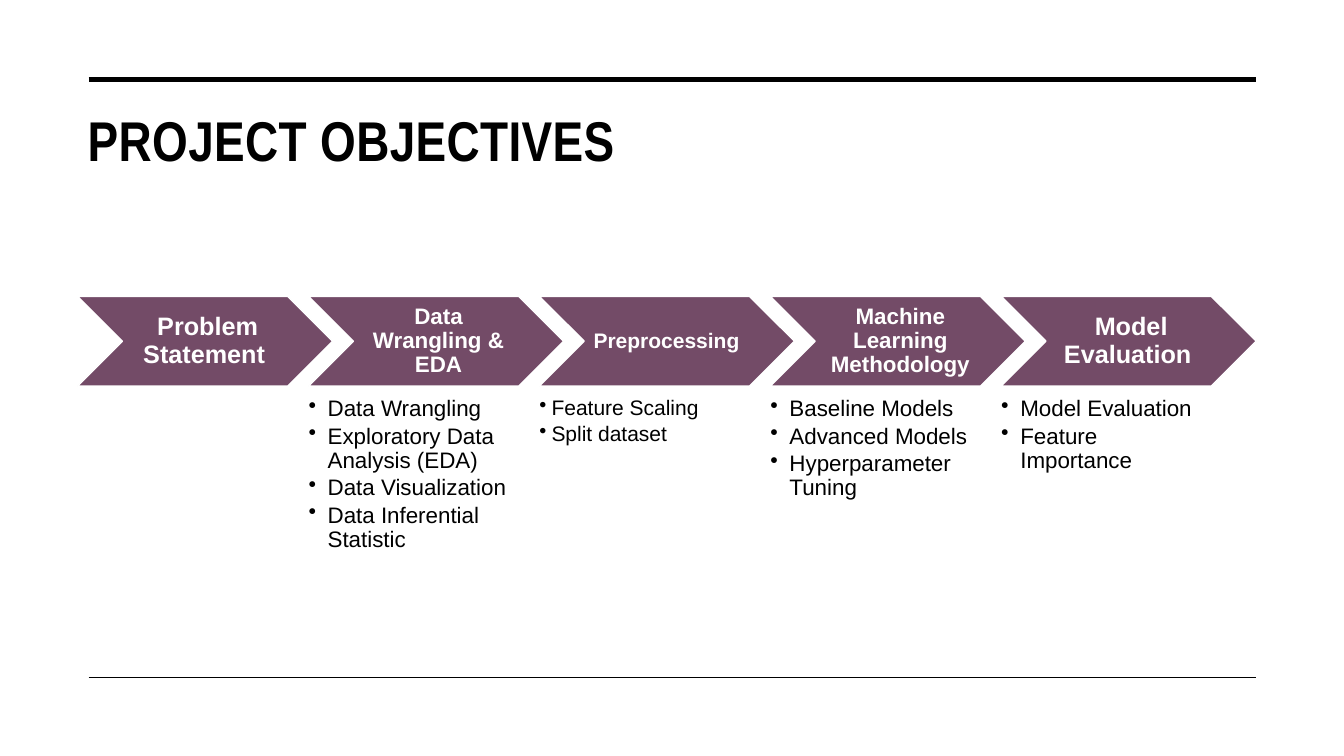
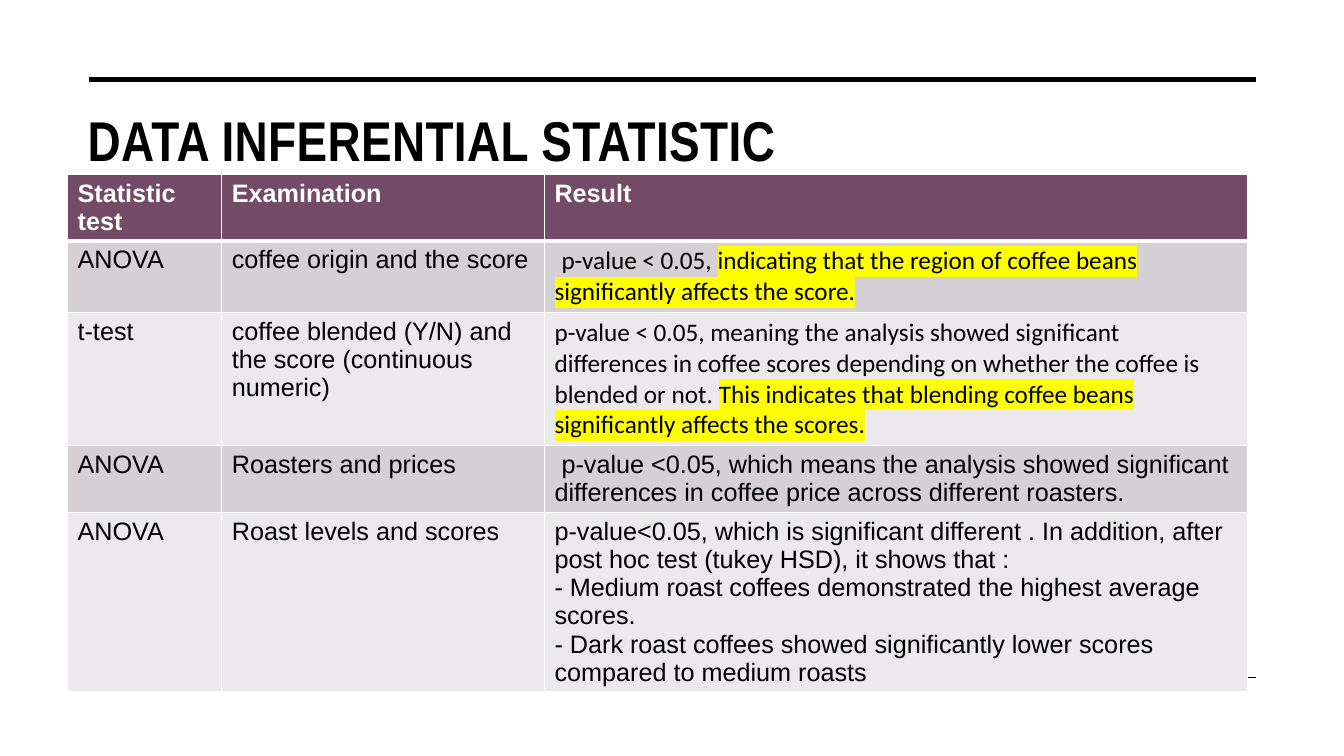
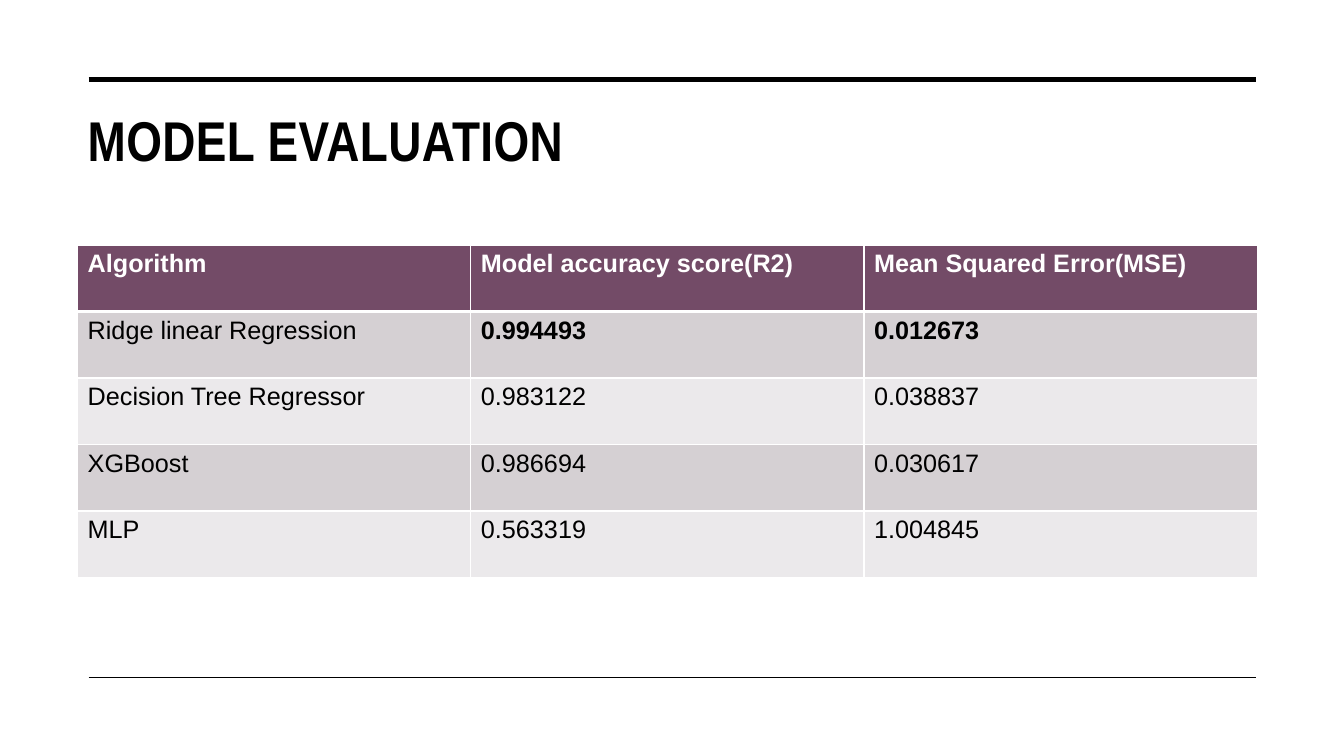
from lxml.etree import SubElement
from pptx import Presentation
from pptx.dml.color import RGBColor as RGB
from pptx.enum.shapes import MSO_CONNECTOR as Link, MSO_SHAPE as Shape
from pptx.enum.text import MSO_ANCHOR as Anchor, PP_ALIGN as Align
from pptx.oxml import parse_xml
from pptx.oxml.ns import nsdecls, qn
from pptx.util import Pt

PX = 9144  # 100 px to the inch
HUE = {"ink": "000000", "paper": "FFFFFF", "plum": "734B67",
       "odd": "D5D0D3", "even": "EBE9EB", "mark": "FFFF00"}

RULES = [(79, 3.5), (672, 1)]  # y, weight
RULE_X = (88, 1246)
TITLE_BOX = (77, 100, 1169, 143)

# heading, heading size, heading margin, list size, list indent, list items
STEPS = [
    ("Problem Statement ", 18, 8, 16, 19, []),
    ("Data Wrangling & EDA", 16, 7, 16, 19,
     ["Data Wrangling", "Exploratory Data Analysis (EDA)",
      "Data Visualization", "Data Inferential Statistic"]),
    ("Preprocessing ", 15, 7, 15, 12, ["Feature Scaling", "Split dataset"]),
    ("Machine Learning Methodology", 16, 7, 16, 19,
     ["Baseline Models", "Advanced Models", "Hyperparameter Tuning"]),
    ("Model Evaluation ", 18, 8, 16, 19,
     ["Model Evaluation", "Feature Importance"]),
]
STEP_X, STEP_Y, STEP_W, STEP_H, PITCH = 77, 294, 253, 89, 229
LIST_Y, LIST_W, LIST_H = 394, 202, 151

# A cell is a string, one line per paragraph, or a list of (text, style) runs.
TESTS = [
    ["Statistic test", "Examination", "Result"],
    ["ANOVA", "coffee origin and the score",
     [(" ", ""), ("p-value < 0.05, ", "calm"),
      ("indicating that the region of coffee beans significantly affects "
       "the score.", "mark")]],
    ["t-test", "coffee blended (Y/N) and the score (continuous numeric)",
     [("p-value < 0.05, meaning the analysis showed significant differences "
       "in coffee scores depending on whether the coffee is blended or not. ",
       "calm"),
      ("This indicates that blending coffee beans significantly affects "
       "the scores.", "mark")]],
    ["ANOVA", "Roasters and prices",
     " p-value <0.05, which means the analysis showed significant "
     "differences in coffee price across different roasters."],
    ["ANOVA", "Roast levels and scores",
     "p-value<0.05, which is significant different . In addition, after "
     "post hoc test (tukey HSD), it shows that :\n"
     "- Medium roast coffees demonstrated the highest average scores.\n"
     "- Dark roast coffees showed significantly lower scores compared to "
     "medium roasts"],
]
SCORES = [
    ["Algorithm", "Model accuracy score(R2)", "Mean Squared Error(MSE)"],
    ["Ridge linear Regression", [("0.994493", "bold")], [("0.012673", "bold")]],
    ["Decision Tree Regressor", "0.983122", "0.038837"],
    ["XGBoost", "0.986694", "0.030617"],
    ["MLP", "0.563319", "1.004845"],
]


def emu(*nums):
    return [n * PX for n in nums]


def color(name):
    return RGB.from_string(HUE[name])


def style(run, size, hue="ink", bold=False, face="Arial"):
    font = run.font
    font.size, font.bold, font.name = Pt(size), bold, face
    font.color.rgb = color(hue)


def mark(run):
    """Put a highlight behind a styled run."""
    fill = run._r.get_or_add_rPr().find(qn("a:solidFill"))
    fill.addnext(parse_xml(f'<a:highlight {nsdecls("a")}>'
                           f'<a:srgbClr val="{HUE["mark"]}"/></a:highlight>'))


def margins(frame, left, rest):
    frame.margin_left = left * PX
    frame.margin_top = frame.margin_right = frame.margin_bottom = rest * PX
    frame.word_wrap = True


def add_rules(slide, layout):
    """Draw the two rules and move them to the layout all slides share."""
    for y, weight in RULES:
        line = slide.shapes.add_connector(
            Link.STRAIGHT, *emu(RULE_X[0], y, RULE_X[1], y))
        line.line.color.rgb = color("ink")
        line.line.width = Pt(weight)
        SubElement(line.element.spPr, qn("a:effectLst"))
        layout.shapes.element.append(line.element)


def place_title(layout):
    title = layout.placeholders[0]
    title.left, title.top, title.width, title.height = emu(*TITLE_BOX)


def add_slide(deck, layout, text):
    slide = deck.slides.add_slide(layout)
    frame = slide.shapes.title.text_frame
    frame.text = text
    frame.vertical_anchor = Anchor.TOP
    para = frame.paragraphs[0]
    para.alignment = Align.LEFT
    style(para.runs[0], 40, bold=True, face="Arial Narrow")
    para.runs[0]._r.get_or_add_rPr().set("spc", "30")
    return slide


def add_list(slide, x, items, size, indent):
    box = slide.shapes.add_textbox(*emu(x, LIST_Y, LIST_W, LIST_H))
    frame = box.text_frame
    margins(frame, 0, 0)
    frame.text = "\n".join(items)
    for para in frame.paragraphs:
        para.line_spacing = 0.9
        para.space_after = Pt(size * 0.15)
        style(para.runs[0], size)
        props = para._p.get_or_add_pPr()
        props.set("marL", str(indent * PX))
        props.set("indent", str(-indent * PX))
        SubElement(props, qn("a:buChar")).set("char", "•")


def add_steps(slide):
    for i, (head, size, left, small, indent, items) in enumerate(STEPS):
        x = STEP_X + i * PITCH
        step = slide.shapes.add_shape(
            Shape.CHEVRON, *emu(x, STEP_Y, STEP_W, STEP_H))
        step.shadow.inherit = False
        step.fill.solid()
        step.fill.fore_color.rgb = color("plum")
        step.line.color.rgb = color("paper")
        step.line.width = Pt(1)
        frame = step.text_frame
        margins(frame, left, left - 5)
        frame.vertical_anchor = Anchor.MIDDLE
        frame.text = head
        para = frame.paragraphs[0]
        para.alignment = Align.CENTER
        para.line_spacing = 0.9
        style(para.runs[0], size, "paper", True)
        if items:
            add_list(slide, x, items, small, indent)


def set_edges(cell, top, low):
    props = cell._tc.get_or_add_tcPr()
    sides = [("L", 1), ("R", 1), ("T", top), ("B", low)]
    for i, (side, weight) in enumerate(sides):
        props.insert(i, parse_xml(
            f'<a:ln{side} {nsdecls("a")} w="{Pt(weight)}"><a:solidFill>'
            f'<a:srgbClr val="{HUE["paper"]}"/></a:solidFill></a:ln{side}>'))


def fill_cell(cell, value, row):
    head = row == 0
    cell.fill.solid()
    cell.fill.fore_color.rgb = color(
        "plum" if head else "odd" if row % 2 else "even")
    set_edges(cell, 3 if row == 1 else 1, 3 if head else 1)
    frame = cell.text_frame
    if isinstance(value, str):
        frame.text = value
        for para in frame.paragraphs:
            style(para.runs[0], 18, "paper" if head else "ink", head)
        return
    for text, kind in value:
        run = frame.paragraphs[0].add_run()
        run.text = text
        face = "Calibri" if kind in ("calm", "mark") else "Arial"
        style(run, 18, bold=kind == "bold", face=face)
        if kind == "mark":
            mark(run)


def add_grid(slide, data, x, y, widths, heights):
    grid = slide.shapes.add_table(
        len(data), len(widths),
        *emu(x, y, sum(widths), sum(heights))).table
    for col, width in zip(grid.columns, widths):
        col.width = width * PX
    for r, (cells, height) in enumerate(zip(data, heights)):
        grid.rows[r].height = height * PX
        for c, value in enumerate(cells):
            fill_cell(grid.cell(r, c), value, r)


def main():
    deck = Presentation()
    deck.slide_width, deck.slide_height = emu(1333, 750)
    layout = deck.slide_layouts[5]
    place_title(layout)

    goals = add_slide(deck, layout, "PROJECT OBJECTIVES")
    add_rules(goals, layout)
    add_steps(goals)

    stats = add_slide(deck, layout, "DATA INFERENTIAL STATISTIC")
    add_grid(stats, TESTS, 67, 173, [153, 320, 697], [66, 70, 132, 66, 177])

    model = add_slide(deck, layout, "MODEL EVALUATION")
    add_grid(model, SCORES, 77, 243, [390] * 3, [66] * 5)

    deck.save("out.pptx")


if __name__ == "__main__":
    main()
